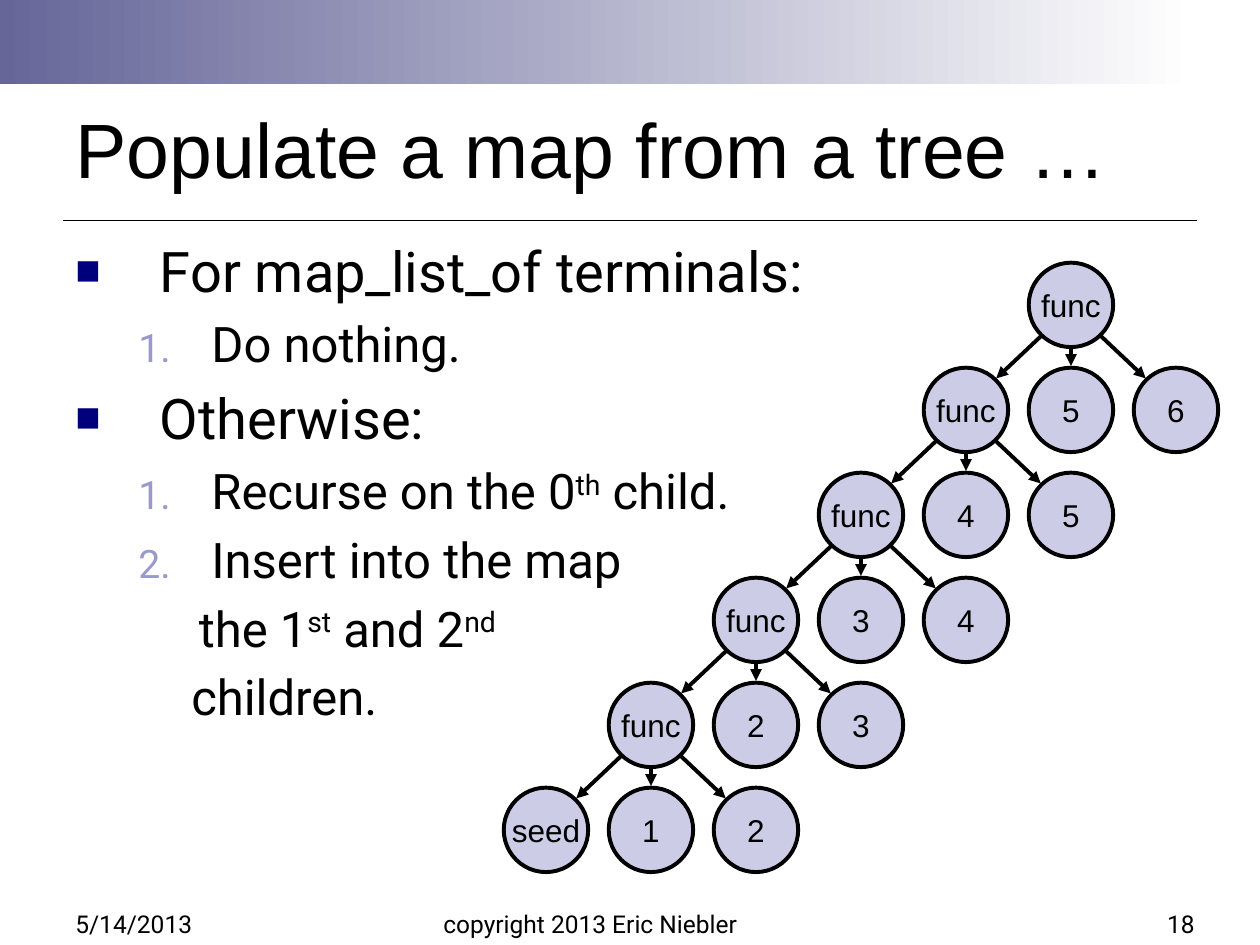
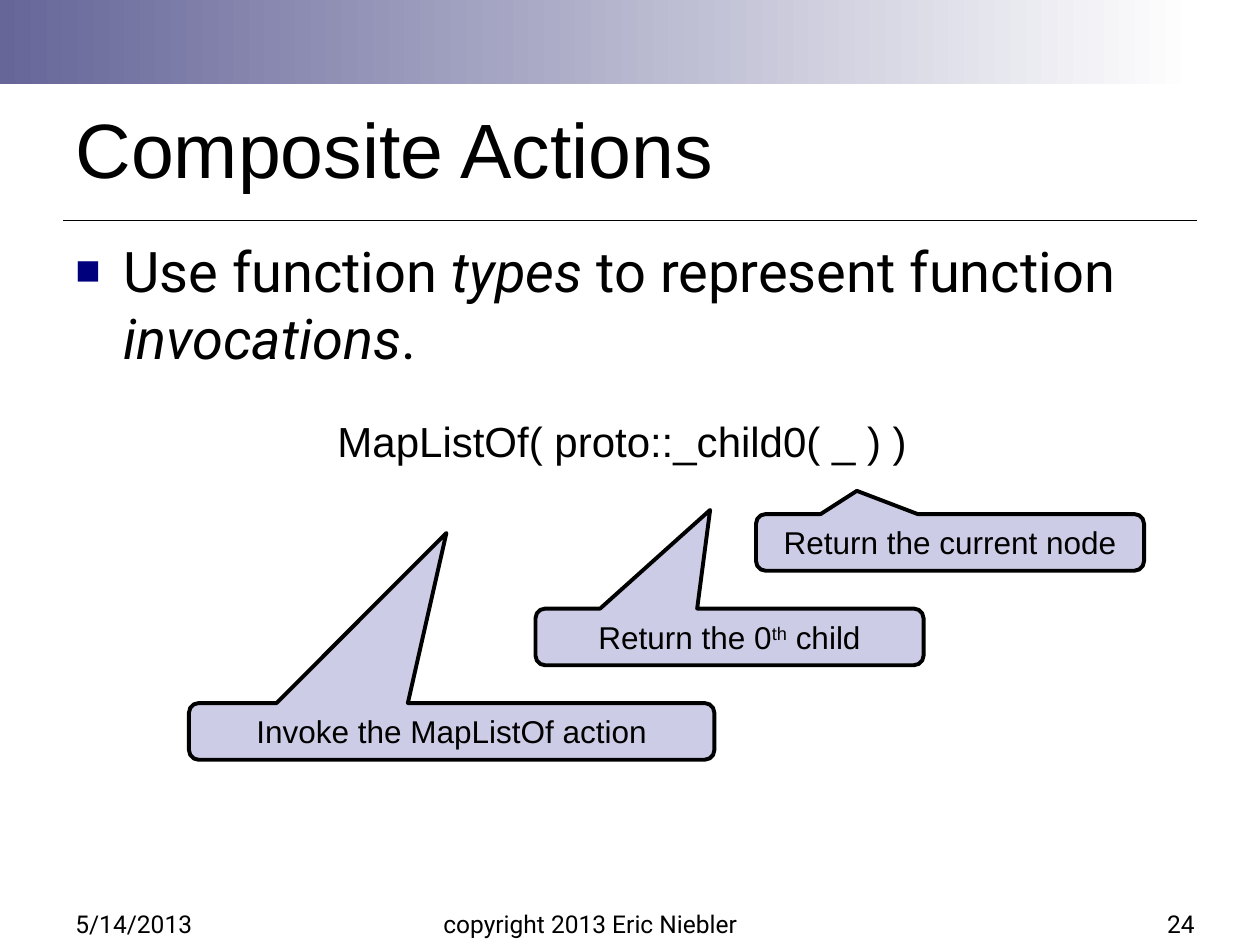
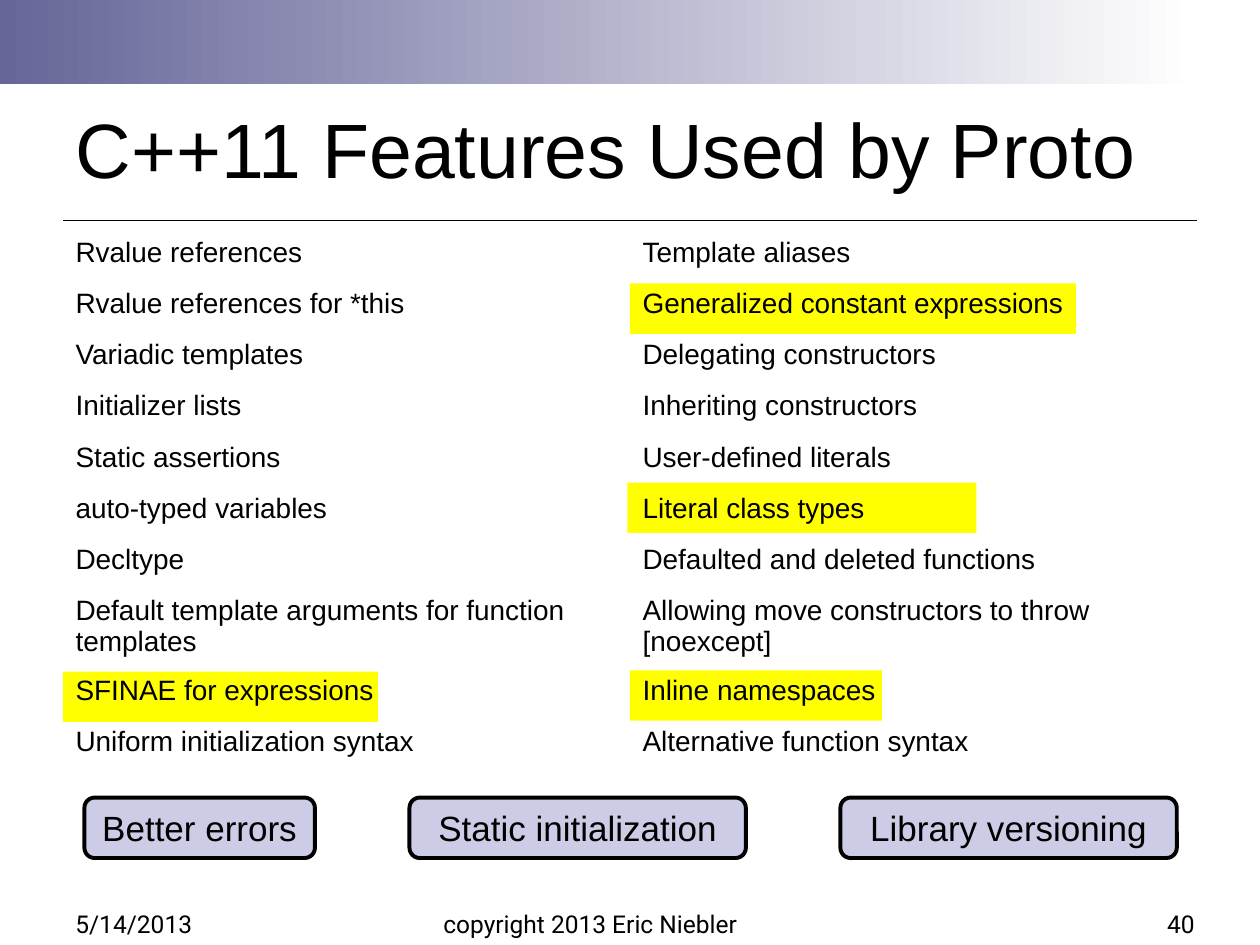
from typing import Any, NamedTuple

from lxml import etree
from pptx import Presentation
from pptx import util as u
from pptx.dml.color import RGBColor
from pptx.enum import shapes, text
from pptx.oxml.ns import qn

COLORS = {
    "ink": "000000",
    "paper": "FFFFFF",
    "band": "666699",
    "node": "CCCCE6",
    "square": "00007D",
    "number": "9999CC",
    "highlight": "FFFF00",
}
HEADING_FONT, BODY_FONT = "Arial", "Roboto"
LEFT, CENTER, RIGHT = text.PP_ALIGN.LEFT, text.PP_ALIGN.CENTER, text.PP_ALIGN.RIGHT
TOP, MIDDLE, BOTTOM = text.MSO_ANCHOR.TOP, text.MSO_ANCHOR.MIDDLE, text.MSO_ANCHOR.BOTTOM
TITLE_ONLY = 5
OUTLINE_WIDTH = 2.25
TREE_DEPTH = 5
TREE_STEP = 5 / 6
NODE_SIZE = 0.67


class Box(NamedTuple):
    left: float
    top: float
    width: float
    height: float


class Span(NamedTuple):
    words: str
    italic: bool = False
    raised: bool = False


class Style(NamedTuple):
    size: float
    font: str = HEADING_FONT
    align: Any = LEFT


class Bullet(NamedTuple):
    color: str
    percent: int
    font: str
    tag: str
    attributes: dict[str, str]


class Item(NamedTuple):
    spans: list[Span]
    size: int
    margin: float
    hanging: float = 0
    bullet: Bullet | None = None
    level: int = 0


class Callout(NamedTuple):
    box: Box
    spans: list[Span]
    pointer: tuple[float, float]


class Button(NamedTuple):
    caption: str
    left: float
    width: float


SQUARE = Bullet("square", 75, HEADING_FONT, "a:buChar", {"char": "■"})
NUMBER = Bullet("number", 80, BODY_FONT, "a:buAutoNum", {"type": "arabicPeriod"})

STEPS = [
    Item([Span("For map_list_of terminals:")], 32, 0.67, 0.67, SQUARE),
    Item([Span("Do nothing.")], 28, 1.08, 0.58, NUMBER, 1),
    Item([Span("Otherwise:")], 32, 0.67, 0.67, SQUARE),
    Item([Span("Recurse on the 0"), Span("th", raised=True), Span(" child.")],
         28, 1.08, 0.58, NUMBER, 1),
    Item([Span("Insert into the map")], 28, 1.08, 0.58, NUMBER, 1),
    Item([Span("the 1"), Span("st", raised=True), Span(" and 2"), Span("nd", raised=True)],
         28, 0.98, level=1),
    Item([Span("children.")], 28, 0.92, level=1),
]
INVOCATIONS = [
    Item([Span("Use function "), Span("types", italic=True),
          Span(" to represent function "), Span("invocations", italic=True), Span(".")],
         32, 0.38, 0.38, SQUARE),
]
CALLOUTS = [
    Callout(Box(1.5, 5.58, 4.17, 0.45), [Span("Invoke the MapListOf action")], (-0.01, -3.5)),
    Callout(Box(4.25, 4.83, 3.08, 0.45),
            [Span("Return the 0"), Span("th", raised=True), Span(" child")], (-0.05, -2.24)),
    Callout(Box(6, 4.08, 3.08, 0.45), [Span("Return the current node")], (-0.24, -0.91)),
]
FEATURES = [
    ("Rvalue references", "Template aliases"),
    ("Rvalue references for *this", "Generalized constant expressions"),
    ("Variadic templates", "Delegating constructors"),
    ("Initializer lists", "Inheriting constructors"),
    ("Static assertions", "User-defined literals"),
    ("auto-typed variables", "Literal class types"),
    ("Decltype", "Defaulted and deleted functions"),
    ("Default template arguments for function templates",
     "Allowing move constructors to throw [noexcept]"),
    ("SFINAE for expressions", "Inline namespaces"),
    ("Uniform initialization syntax", "Alternative function syntax"),
]
HIGHLIGHTS = [
    Box(5, 2.25, 3.54, 0.4),
    Box(4.98, 3.83, 2.77, 0.4),
    Box(0.5, 5.33, 2.5, 0.4),
    Box(5, 5.32, 2, 0.4),
]
BUTTONS = [
    Button("Better errors", 0.67, 1.83),
    Button("Static initialization", 3.25, 2.67),
    Button("Library versioning", 6.67, 2.67),
]


def rgb(name: str) -> RGBColor:
    return RGBColor.from_string(COLORS[name])


def inches(box: Box) -> list[u.Length]:
    return [u.Inches(length) for length in box]


def apply(target: Any, formats: dict[str, Any]) -> None:
    for attribute, value in formats.items():
        setattr(target, attribute, value)


def add_xml(parent: Any, tag: str, attributes: dict[str, str] | None = None) -> Any:
    return etree.SubElement(parent, qn(tag), attributes or {})


def write(paragraph: Any, spans: list[Span], style: Style) -> None:
    paragraph.alignment = style.align
    for span in spans:
        run = paragraph.add_run()
        run.text = span.words
        apply(run.font, {"size": u.Pt(style.size), "name": style.font, "italic": span.italic})
        run.font.color.rgb = rgb("ink")
        if span.raised:
            run.font._element.set("baseline", "30000")


def add_text(slide: Any, box: Box, words: str, style: Style,
             anchor: Any = TOP, wrap: bool = True) -> None:
    label = slide.shapes.add_textbox(*inches(box)).text_frame
    apply(label, {"word_wrap": wrap, "vertical_anchor": anchor})
    write(label.paragraphs[0], [Span(words)], style)


def add_plain(slide: Any, kind: Any, box: Box, color: str) -> Any:
    area = slide.shapes.add_shape(kind, *inches(box))
    area.shadow.inherit = False
    area.fill.solid()
    area.fill.fore_color.rgb = rgb(color)
    area.line.fill.background()
    return area


def add_outlined(slide: Any, kind: Any, box: Box, spans: list[Span], size: int) -> Any:
    area = add_plain(slide, kind, box, "node")
    area.line.color.rgb = rgb("ink")
    area.line.width = u.Pt(OUTLINE_WIDTH)
    apply(area.text_frame, {"word_wrap": False, "vertical_anchor": MIDDLE})
    write(area.text_frame.paragraphs[0], spans, Style(size, align=CENTER))
    return area


def add_line(slide: Any, start: tuple[float, float], end: tuple[float, float],
             width: float, arrow: bool = False) -> None:
    link = slide.shapes.add_connector(
        shapes.MSO_CONNECTOR.STRAIGHT, *[u.Inches(length) for length in (*start, *end)])
    link.line.color.rgb = rgb("ink")
    link.line.width = u.Pt(width)
    if arrow:
        add_xml(link.line._get_or_add_ln(), "a:tailEnd", {"type": "triangle"})
    add_xml(link._element.spPr, "a:effectLst")


def start_slide(deck: Any, title: str, number: int) -> Any:
    slide = deck.slides.add_slide(deck.slide_layouts[TITLE_ONLY])
    add_line(slide, (0.5, 1.75), (9.5, 1.75), 0.75)
    band = add_plain(slide, shapes.MSO_SHAPE.RECTANGLE, Box(0, 0, 9.5, 0.67), "band")
    band.fill.gradient()
    band.fill.gradient_angle = 0
    for stop, color in zip(band.fill.gradient_stops, ("band", "paper")):
        stop.color.rgb = rgb(color)

    heading = slide.shapes.title
    apply(heading, dict(zip(("left", "top", "width", "height"), inches(Box(0.5, 0.67, 9, 1)))))
    apply(heading.text_frame, {"vertical_anchor": MIDDLE, "word_wrap": True,
                               "auto_size": text.MSO_AUTO_SIZE.NONE})
    write(heading.text_frame.paragraphs[0], [Span(title)], Style(44))

    for box, words, align in (
        (Box(0.5, 7, 1.33, 0.5), "5/14/2013", LEFT),
        (Box(3.42, 7, 3.17, 0.5), "copyright 2013 Eric Niebler", LEFT),
        (Box(8.25, 6.98, 1.33, 0.52), str(number), RIGHT),
    ):
        add_text(slide, box, words, Style(14, BODY_FONT, align), BOTTOM)
    return slide


def add_items(slide: Any, box: Box, items: list[Item]) -> None:
    body = slide.shapes.add_textbox(*inches(box)).text_frame
    body.word_wrap = True
    for index, item in enumerate(items):
        paragraph = body.add_paragraph() if index else body.paragraphs[0]
        write(paragraph, item.spans, Style(item.size, BODY_FONT))
        apply(paragraph, {"level": item.level, "space_before": u.Pt(item.size * 0.2)})
        properties = paragraph._p.get_or_add_pPr()
        properties.set("marL", str(u.Inches(item.margin)))
        properties.set("indent", str(-u.Inches(item.hanging)))
        if item.bullet:
            color = add_xml(properties, "a:buClr")
            add_xml(color, "a:srgbClr", {"val": COLORS[item.bullet.color]})
            add_xml(properties, "a:buSzPct", {"val": str(item.bullet.percent * 1000)})
            add_xml(properties, "a:buFont", {"typeface": item.bullet.font})
            add_xml(properties, item.bullet.tag, item.bullet.attributes)


def add_node(slide: Any, center: tuple[float, float], label: str) -> None:
    x, y = center
    add_outlined(slide, shapes.MSO_SHAPE.OVAL,
                 Box(x - NODE_SIZE / 2, y - NODE_SIZE / 2, NODE_SIZE, NODE_SIZE),
                 [Span(label)], 18)


def add_tree(slide: Any) -> None:
    root = (8.5, 2.42)
    add_node(slide, root, "func")
    for depth in range(TREE_DEPTH):
        x, y = root[0] - depth * TREE_STEP, root[1] + depth * TREE_STEP
        key = TREE_DEPTH - depth
        first = "func" if key > 1 else "seed"
        for side, label in zip((-1, 0, 1), (first, str(key), str(key + 1))):
            child_x, child_y = x + side * TREE_STEP, y + TREE_STEP
            reach_x, reach_y = side * 0.24, 0.25 if side else 0.35
            add_node(slide, (child_x, child_y), label)
            add_line(slide, (x + reach_x, y + reach_y),
                     (child_x - reach_x, child_y - reach_y), OUTLINE_WIDTH, arrow=True)


def add_features(slide: Any) -> None:
    frame = slide.shapes.add_table(len(FEATURES), 2, *inches(Box(0.5, 1.83, 9, 4.07)))
    apply(frame.table, {"first_row": False, "horz_banding": False})
    for style_id in frame._element.iter(qn("a:tableStyleId")):
        style_id.text = "{2D5ABB26-0587-4C30-8999-92F81FD0307C}"
    for row, features in zip(frame.table.rows, FEATURES):
        for cell, feature in zip(row.cells, features):
            cell.fill.background()
            write(cell.text_frame.paragraphs[0], [Span(feature)], Style(16))


def build_tree_slide(deck: Any) -> None:
    slide = start_slide(deck, "Populate a map from a tree …", 18)
    add_tree(slide)
    add_items(slide, Box(0.5, 1.83, 6.67, 5.17), STEPS)


def build_actions_slide(deck: Any) -> None:
    slide = start_slide(deck, "Composite Actions", 24)
    add_items(slide, Box(0.5, 1.83, 9.08, 5.17), INVOCATIONS)
    add_text(slide, Box(2.58, 3.25, 4.72, 0.5), "MapListOf( proto::_child0( _ ) )",
             Style(24), wrap=False)
    for callout in CALLOUTS:
        bubble = add_outlined(slide, shapes.MSO_SHAPE.ROUNDED_RECTANGULAR_CALLOUT,
                              callout.box, callout.spans, 18)
        for index, value in enumerate((*callout.pointer, 0.17)):
            bubble.adjustments[index] = value


def build_features_slide(deck: Any) -> None:
    slide = start_slide(deck, "C++11 Features Used by Proto", 40)
    for highlight in HIGHLIGHTS:
        add_plain(slide, shapes.MSO_SHAPE.RECTANGLE, highlight, "highlight")
    add_features(slide)
    for button in BUTTONS:
        benefit = add_outlined(slide, shapes.MSO_SHAPE.ROUNDED_RECTANGLE,
                               Box(button.left, 6.33, button.width, 0.48),
                               [Span(button.caption)], 20)
        benefit.adjustments[0] = 0.17


def main() -> None:
    deck = Presentation()
    apply(deck, {"slide_width": u.Inches(10), "slide_height": u.Inches(7.5)})
    build_tree_slide(deck)
    build_actions_slide(deck)
    build_features_slide(deck)
    deck.save("out.pptx")


if __name__ == "__main__":
    main()
